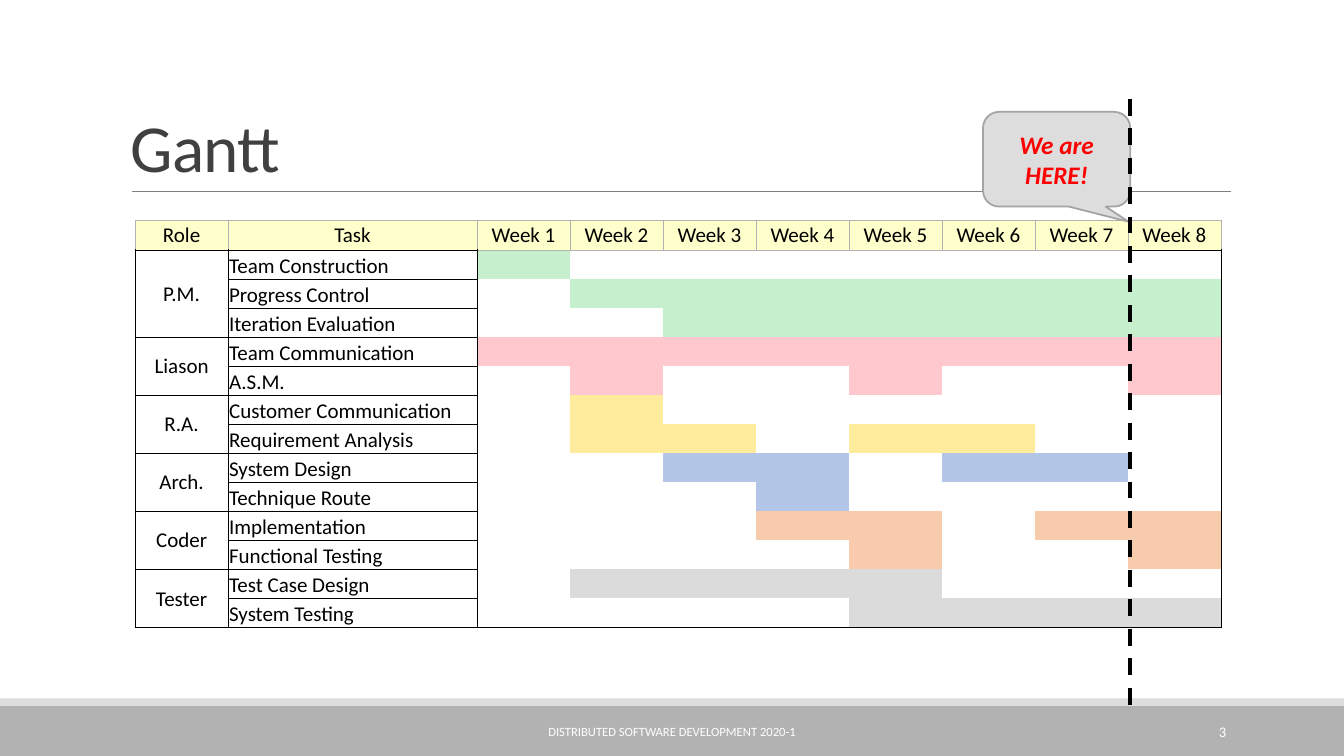
from lxml import etree
from pptx import Presentation
from pptx.dml.color import RGBColor
from pptx.enum import dml, shapes, text
from pptx.oxml import ns
from pptx.util import Inches, Pt

FONT = "Calibri"
COLORS = {
    "band": "B2B2B2", "strip": "DDDDDD", "rule": "808080", "title": "404040",
    "header": "FFFFCC", "grid": "B2B2B2", "black": "000000", "white": "FFFFFF",
    "callout_line": "A3A3A3", "red": "FF0000",
    "P.M.": "C6EFCE", "Liason": "FFC7CE", "R.A.": "FFEB9C",
    "Arch.": "B4C6E7", "Coder": "F8CBAD", "Tester": "DBDBDB",
}
# Each task has one mark per week: # is a busy week
PLAN = {
    "P.M.": {"Team Construction": "#.......",
             "Progress Control": ".#######",
             "Iteration Evaluation": "..######"},
    "Liason": {"Team Communication": "########",
               "A.S.M.": ".#..#..#"},
    "R.A.": {"Customer Communication": ".#......",
             "Requirement Analysis": ".##.##.."},
    "Arch.": {"System Design": "..##.##.",
              "Technique Route": "...#...."},
    "Coder": {"Implementation": "...##.##",
              "Functional Testing": "....#..#"},
    "Tester": {"Test Case Design": ".####...",
               "System Testing": "....####"},
}
WEEKS = 8
NO_STYLE = "{2D5ABB26-0587-4C30-8999-92F81FD0307C}"


def color(name):
    return RGBColor.from_string(COLORS[name])


def inches(*lengths):
    return [Inches(length) for length in lengths]


def write(frame, words, size, ink, align, anchor, bold=None, italic=None):
    frame.word_wrap = True
    frame.vertical_anchor = anchor
    frame.text = words
    para = frame.paragraphs[0]
    para.alignment = align
    for span in para.runs:
        font = span.font
        font.name, font.size, font.bold, font.italic = FONT, Pt(size), bold, italic
        font.color.rgb = color(ink)
    return para


def add_label(page, box, words, size, ink, align, anchor=text.MSO_ANCHOR.MIDDLE):
    label = page.shapes.add_textbox(*inches(*box))
    return write(label.text_frame, words, size, ink, align, anchor)


def add_block(page, kind, box, fill):
    block = page.shapes.add_shape(kind, *inches(*box))
    block.shadow.inherit = False
    block.fill.solid()
    block.fill.fore_color.rgb = color(fill)
    block.line.fill.background()
    return block


def add_line(page, start, end, ink, width):
    line = page.shapes.add_connector(
        shapes.MSO_CONNECTOR.STRAIGHT, *inches(*start, *end))
    line.line.color.rgb = color(ink)
    line.line.width = Pt(width)
    etree.SubElement(line._element.spPr, ns.qn("a:effectLst"))
    return line


def add_footer(page, left, top, width, height):
    rect = shapes.MSO_SHAPE.RECTANGLE
    strip = 0.07
    add_block(page, rect, (left, top + strip, width, height - strip), "band")
    add_block(page, rect, (left, top, width, strip), "strip")
    label_top = top + 0.13
    add_label(page, (left + 4.03, label_top, 5.27, 0.4),
              "DISTRIBUTED SOFTWARE DEVELOPMENT 2020-1", 9, "white", text.PP_ALIGN.CENTER)
    add_label(page, (left + 10.83, label_top, 1.43, 0.4), "3", 10.5, "white",
              text.PP_ALIGN.RIGHT)


def add_title(page, left, top, width, height):
    bottom = top + height
    add_line(page, (left + 0.11, bottom), (left + width + 0.01, bottom), "rule", 0.5)
    para = add_label(page, (left, top, width, height), "Gantt", 48, "title",
                     text.PP_ALIGN.LEFT, text.MSO_ANCHOR.BOTTOM)
    para.line_spacing = 0.85
    para.runs[0].font._element.set("spc", "-50")


def set_borders(cell, **sides):
    props = cell._tc.get_or_add_tcPr()
    for side in "LRTB":
        line = etree.SubElement(props, ns.qn("a:ln" + side), w=str(Pt(0.5)))
        if side in sides:
            fill = etree.SubElement(line, ns.qn("a:solidFill"))
            etree.SubElement(fill, ns.qn("a:srgbClr"), val=COLORS[sides[side]])
        else:
            etree.SubElement(line, ns.qn("a:noFill"))


def fill_cell(cell, words="", fill=None, align=text.PP_ALIGN.CENTER,
              anchor=text.MSO_ANCHOR.MIDDLE, **sides):
    set_borders(cell, **sides)
    cell.margin_left = cell.margin_right = cell.margin_top = Inches(0.01)
    cell.margin_bottom = 0
    para = write(cell.text_frame, words, 15, "black", align, anchor)
    cell.vertical_anchor = anchor
    if not words:
        # Keeps empty cells from stretching their row
        etree.SubElement(para._p, ns.qn("a:endParaRPr"), sz="1500")
    if fill:
        cell.fill.solid()
        cell.fill.fore_color.rgb = color(fill)
    else:
        cell.fill.background()


def add_gantt(page, left, top, width, height):
    row_count = 1 + sum(len(tasks) for tasks in PLAN.values())
    table = page.shapes.add_table(
        row_count, 2 + WEEKS, *inches(left, top, width, height)).table
    table.first_row = table.horz_banding = False
    table._tbl.tblPr.find(ns.qn("a:tableStyleId")).text = NO_STYLE
    task_width = 2.47
    for index, column in enumerate(table.columns):
        column.width = Inches(
            task_width if index == 1 else (width - task_width) / (1 + WEEKS))
    for line in table.rows:
        line.height = Inches(height / row_count)

    # Header
    titles = ["Role", "Task"] + [f"Week {week + 1}" for week in range(WEEKS)]
    for index, words in enumerate(titles):
        below = "black" if index in (0, 1, WEEKS + 1) else "grid"
        fill_cell(table.cell(0, index), words, "header",
                  L="grid", R="grid", T="grid", B=below)

    # Roles, tasks and busy weeks
    frame = dict.fromkeys("LRTB", "black")
    row = 1
    for role, tasks in PLAN.items():
        first = row
        for task, weeks in tasks.items():
            fill_cell(table.cell(row, 0), role if row == first else "", **frame)
            fill_cell(table.cell(row, 1), task, align=text.PP_ALIGN.LEFT,
                      anchor=text.MSO_ANCHOR.BOTTOM, **frame)
            for week, mark in enumerate(weeks):
                last = week == WEEKS - 1
                edges = {"L": week == 0, "R": last, "B": row == row_count - 1}
                sides = {side: "black" for side, drawn in edges.items() if drawn}
                if row == 1:
                    sides["T"] = "black" if last else "grid"
                fill_cell(table.cell(row, 2 + week),
                          fill=role if mark == "#" else None, **sides)
            row += 1
        table.cell(first, 0).merge(table.cell(row - 1, 0))


def add_today(page, left, top, width, height):
    callout = add_block(page, shapes.MSO_SHAPE.ROUNDED_RECTANGULAR_CALLOUT,
                        (left, top, width, height), "strip")
    for index, value in enumerate((0.49, 0.66, 0.17)):
        callout.adjustments[index] = value
    callout.line.color.rgb = color("callout_line")
    callout.line.width = Pt(1.25)
    write(callout.text_frame, "We are HERE!", 18, "red", text.PP_ALIGN.CENTER,
          text.MSO_ANCHOR.MIDDLE, bold=True, italic=True)
    right = left + width
    marker = add_line(page, (right, top - 0.13), (right, top + 5.95), "black", 3)
    marker.line.dash_style = dml.MSO_LINE.DASH


def main():
    deck = Presentation()
    deck.slide_width, deck.slide_height = inches(13.33, 7.5)
    page = deck.slides.add_slide(deck.slide_layouts[6])
    add_footer(page, 0, 6.93, 13.33, 0.57)
    add_title(page, 1.2, 0.31, 11, 1.59)
    add_gantt(page, 1.34, 2.19, 10.77, 4.04)
    add_today(page, 9.75, 1.11, 1.46, 0.94)
    deck.save("out.pptx")


if __name__ == "__main__":
    main()
